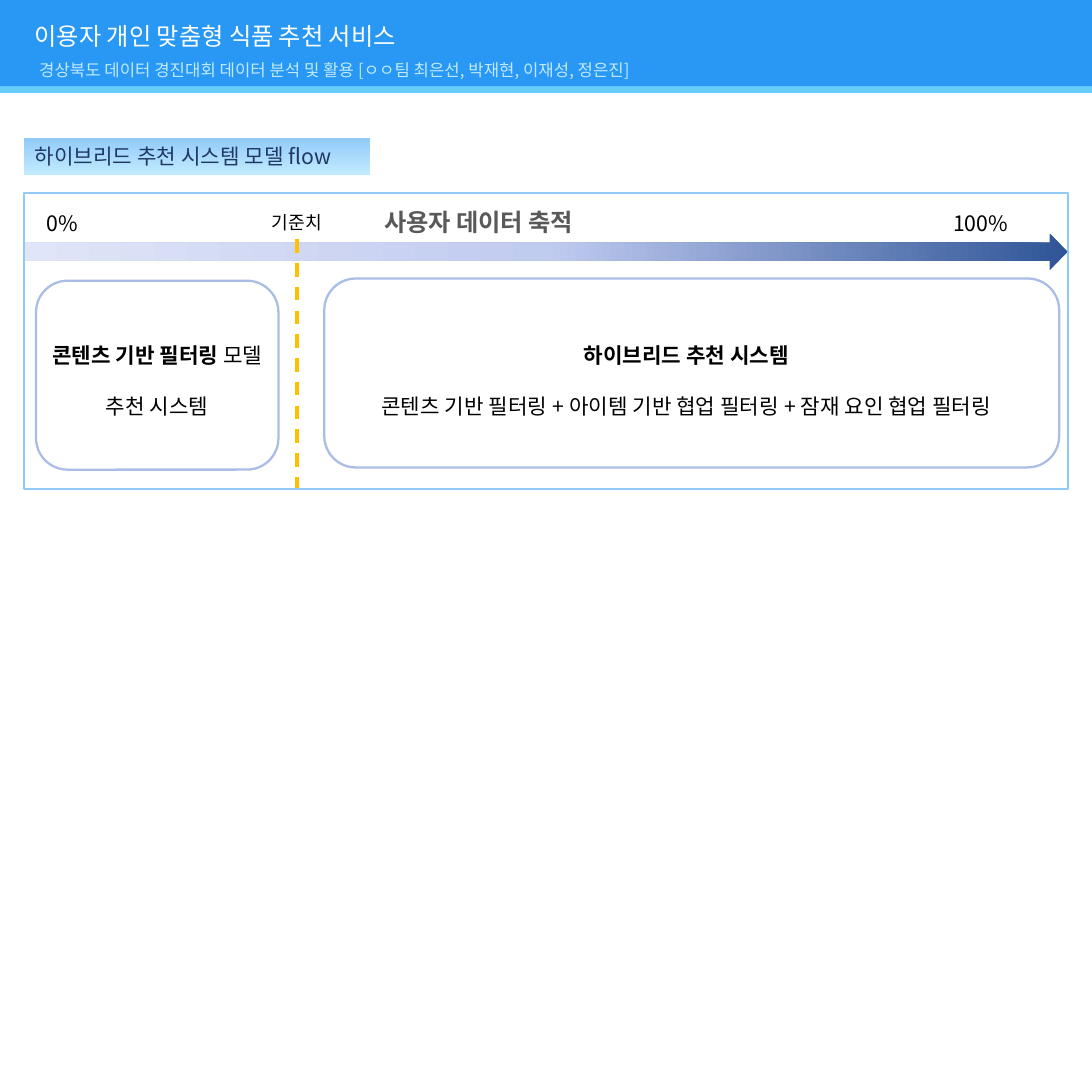
from lxml import etree
from pptx import Presentation
from pptx.dml.color import RGBColor
from pptx.enum.dml import MSO_LINE
from pptx.enum.shapes import MSO_CONNECTOR, MSO_SHAPE
from pptx.enum.text import MSO_ANCHOR, PP_ALIGN
from pptx.oxml.ns import qn
from pptx.util import Inches, Pt

RECT, ROUNDED, ARROW = MSO_SHAPE.RECTANGLE, MSO_SHAPE.ROUNDED_RECTANGLE, MSO_SHAPE.RIGHT_ARROW
LEFT, CENTER = PP_ALIGN.LEFT, PP_ALIGN.CENTER
WIDTH, HEIGHT = 10, 9.86
MARGIN = 0.22
INNER = WIDTH - 2 * MARGIN
FONT = "Noto Sans CJK KR"
COLORS = {
    "white": "FFFFFF", "black": "000000", "gray": "595959", "navy": "203864",
    "band": "2898F4", "band edge": "66CCFF", "pale": "C1EAFF", "frame": "91CAF9",
    "model": "AABDE5", "threshold": "FFC000",
    "arrow dark": "2F5597", "arrow mid": "C0CBF0", "arrow light": "E0E5F7",
}

# Content: paragraphs are lists of runs (text, size, colour, bold)
HEADER = [
    [("이용자 개인 맞춤형 식품 추천 서비스", 16, "white", False)],
    [("경상북도 데이터 경진대회 데이터 분석 및 활용 [ㅇㅇ팀 최은선, 박재현, 이재성, 정은진]", 11, "pale", False)],
]
SECTION = [[("하이브리드 추천 시스템 모델 flow", 14, "navy", False)]]
SCALE = [[("0%\t", 14, "black", False), ("사용자 데이터 축적\t", 16, "gray", True),
          ("100%", 14, "black", False)]]
SCALE_TABS = [3.09, 8.3]
THRESHOLD = [[("기준치", 12, "black", False)]]
MODELS = [  # outline left, top, width; text left; paragraphs
    (0.33, 2.57, 2.22, 0.33, [
        [("콘텐츠 기반 필터링 ", 14, "black", True), ("모델", 14, "black", False)],
        [("추천 시스템", 14, "black", False)]]),
    (2.97, 2.55, 6.73, 2.92, [
        [("하이브리드 추천 시스템", 14, "black", True)],
        [("콘텐츠 기반 필터링 + 아이템 기반 협업 필터링 + 잠재 요인 협업 필터링", 14, "black", False)]]),
]
MODEL_HEIGHT, MODEL_TEXT_TOP, MODEL_TEXT_HEIGHT = 1.73, 2.97, 0.89
FRAME_TOP, FRAME_HEIGHT = 1.77, 2.71
THRESHOLD_X = 2.72


def rgb(name):
    return RGBColor.from_string(COLORS[name])


def add_box(kind, box, fill=None, line=None):
    shape = slide.shapes.add_shape(kind, *map(Inches, box))
    shape.shadow.inherit = False
    if fill:
        shape.fill.solid()
        shape.fill.fore_color.rgb = rgb(fill)
    else:
        shape.fill.background()
    if line:
        shape.line.color.rgb = rgb(line)
        shape.line.width = Pt(1.5)
    else:
        shape.line.fill.background()
    return shape


def set_gradient(shape, stops, angle):
    shape.fill.gradient()
    gradient = shape.fill._xPr.find(qn("a:gradFill"))
    for child in list(gradient):
        gradient.remove(child)
    stop_list = etree.SubElement(gradient, qn("a:gsLst"))
    for position, color in stops:
        stop = etree.SubElement(stop_list, qn("a:gs"), pos=str(position * 1000))
        etree.SubElement(stop, qn("a:srgbClr"), val=COLORS[color])
    etree.SubElement(gradient, qn("a:lin"), ang=str(angle * 60000), scaled="0")


def write(shape, paragraphs, align=LEFT, spacing=None, after=None):
    frame = shape.text_frame
    frame.word_wrap = True
    for index, runs in enumerate(paragraphs):
        paragraph = frame.add_paragraph() if index else frame.paragraphs[0]
        paragraph.alignment = align
        if spacing:
            paragraph.line_spacing = spacing
        if after:
            paragraph.space_after = Pt(after)
        for text, size, color, bold in runs:
            run = paragraph.add_run()
            run.text = text
            run.font.size, run.font.bold, run.font.name = Pt(size), bold, FONT
            run.font.color.rgb = rgb(color)
            etree.SubElement(run.font._element, qn("a:ea"), typeface=FONT)
    return frame


def add_text(box, paragraphs, **layout):
    return write(slide.shapes.add_textbox(*map(Inches, box)), paragraphs, **layout)


deck = Presentation()
deck.slide_width, deck.slide_height = Inches(WIDTH), Inches(HEIGHT)
slide = deck.slides.add_slide(deck.slide_layouts[6])

# Header band
for height, color in ((0.86, "band edge"), (0.8, "band")):
    add_box(RECT, (0, -0.01, WIDTH, height), fill=color)
header = add_text((MARGIN, 0.01, 7.15, 0.75), HEADER, spacing=1.5)
header.paragraphs[1]._p.get_or_add_pPr().set("marL", str(Inches(0.04)))

# Section label
section = add_box(RECT, (MARGIN, 1.26, 3.17, 0.34))
set_gradient(section, [(0, "pale"), (3, "pale"), (100, "frame")], 270)
write(section, SECTION).vertical_anchor = MSO_ANCHOR.MIDDLE

# Data accumulation scale
scale = add_text((0.33, 1.85, 9.33, 0.37), SCALE)
tabs = etree.SubElement(scale.paragraphs[0]._p.get_or_add_pPr(), qn("a:tabLst"))
for stop in SCALE_TABS:
    etree.SubElement(tabs, qn("a:tab"), pos=str(Inches(stop)), algn="l")
arrow = add_box(ARROW, (MARGIN, 2.14, INNER, 0.33))
set_gradient(arrow, [(0, "arrow dark"), (50, "arrow mid"), (100, "arrow light")], 180)

# Threshold
divider = slide.shapes.add_connector(
    MSO_CONNECTOR.STRAIGHT, Inches(THRESHOLD_X), Inches(2.19),
    Inches(THRESHOLD_X), Inches(FRAME_TOP + FRAME_HEIGHT))
divider.line.color.rgb = rgb("threshold")
divider.line.width = Pt(2.25)
divider.line.dash_style = MSO_LINE.DASH
etree.SubElement(divider._element.spPr, qn("a:effectLst"))
add_text((THRESHOLD_X - 0.5, 1.89, 1, 0.3), THRESHOLD, align=CENTER)

# Models on either side of the threshold
for left, top, width, text_left, paragraphs in MODELS:
    add_box(ROUNDED, (left, top, width, MODEL_HEIGHT), line="model")
    add_text((text_left, MODEL_TEXT_TOP, width, MODEL_TEXT_HEIGHT), paragraphs,
             align=CENTER, spacing=1.5, after=8)

# Frame around the flow
add_box(RECT, (MARGIN, FRAME_TOP, INNER, FRAME_HEIGHT), line="frame")

deck.save("out.pptx")
